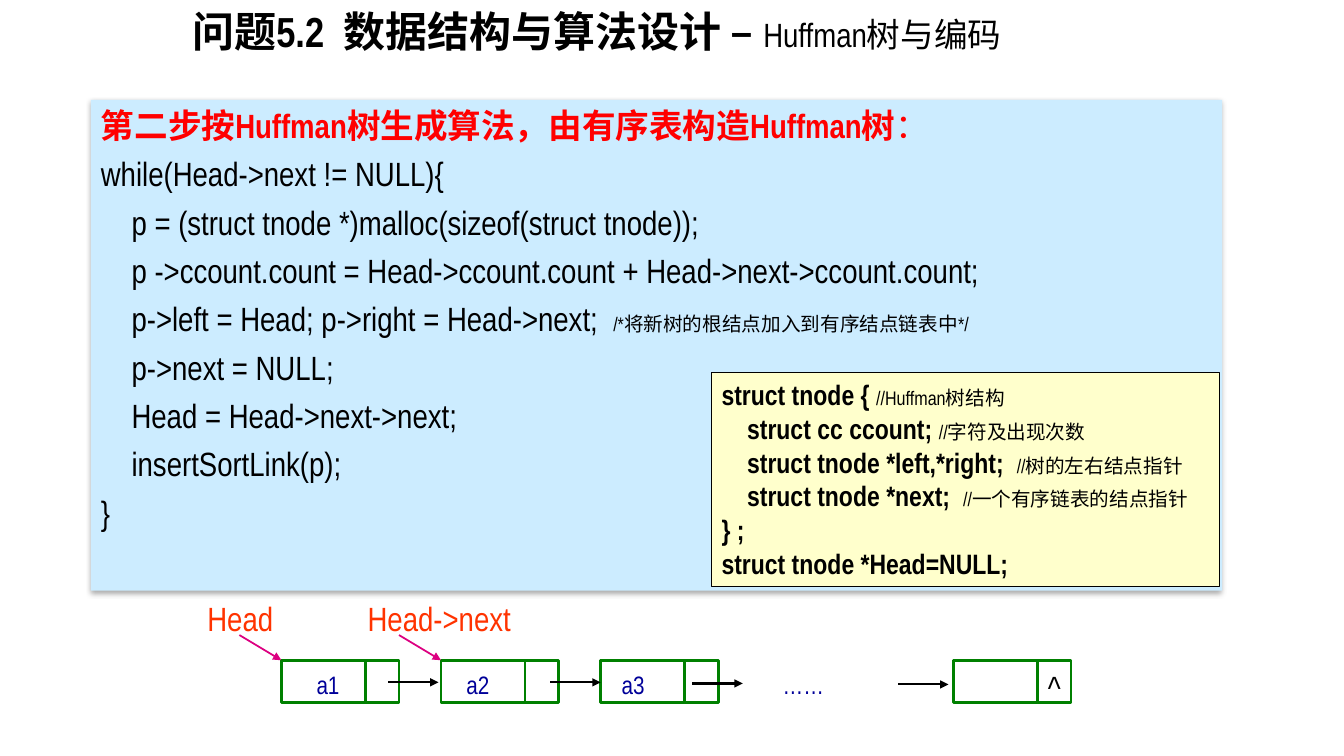
from lxml import etree
from pptx import Presentation
from pptx.dml.color import RGBColor
from pptx.enum import shapes, text
from pptx.oxml import ns
from pptx.util import Pt

BLACK = RGBColor(0x00, 0x00, 0x00)
RED = RGBColor(0xFF, 0x00, 0x00)
ORANGE = RGBColor(0xFF, 0x33, 0x00)
NAVY = RGBColor(0x00, 0x00, 0x99)
GREEN = RGBColor(0x00, 0x80, 0x00)
MAGENTA = RGBColor(0xDC, 0x00, 0x81)
PALE_BLUE = RGBColor(0xCC, 0xEC, 0xFF)
PALE_YELLOW = RGBColor(0xFF, 0xFF, 0xCC)
FONT = "Arial Narrow"

# Content: a run is (words, size, bold, colour)
TITLE = [("问题5.2  数据结构与算法设计 – ", 30, True, BLACK),
         ("Huffman树与编码", 24, False, BLACK)]
STEP_HEADING = [("第二步按Huffman树生成算法，由有序表构造Huffman树", 24, True, RED),
                ("：", 24, False, RED)]
LOOP_CODE = [  # code, comment
    ("while(Head->next != NULL){", ""),
    ("    p = (struct tnode *)malloc(sizeof(struct tnode));", ""),
    ("    p ->ccount.count = Head->ccount.count + Head->next->ccount.count;", ""),
    ("    p->left = Head; p->right = Head->next;  ", "/*将新树的根结点加入到有序结点链表中*/"),
    ("    p->next = NULL;", ""),
    ("    Head = Head->next->next;", ""),
    ("    insertSortLink(p);", ""),
    ("}", ""),
]
STRUCT_CODE = [
    ("struct tnode { ", "//Huffman树结构"),
    ("    struct cc ccount; ", "//字符及出现次数"),
    ("    struct tnode *left,*right;  ", "//树的左右结点指针"),
    ("    struct tnode *next;  ", "//一个有序链表的结点指针"),
    ("} ;", ""),
    ("struct tnode *Head=NULL;", ""),
]
POINTERS = [("Head", 141, 62), ("Head->next", 255.5, 123)]  # words, left, width
NODE_LABELS = [("a1", 219), ("a2", 326), ("a3", 437), ("……", 552)]  # words, left

# Linked list geometry
NODE_LEFT, NODE_STEP, NODE_TOP, NODE_HEIGHT = 201, 114, 471.6, 30.2
DATA_WIDTH, LINK_WIDTH = 60, 24
LAST_NODE_LEFT = 681
NODE_LEFTS = [NODE_LEFT + i * NODE_STEP for i in range(3)] + [LAST_NODE_LEFT]
NEXT_ARROWS = [(277.2, 487.4), (393, 487.4), (494.6, 488.2), (641.5, 488.9)]
ARROW_LENGTH = 36

deck = Presentation()
deck.slide_width, deck.slide_height = Pt(960), Pt(540)
slide = deck.slides.add_slide(deck.slide_layouts[6])


def code_lines(lines, size, bold):
    return [[(code, size, bold, BLACK)] + ([(note, 14, False, BLACK)] if note else [])
            for code, note in lines]


def write(shape, paragraphs, spacing=1.0, anchor=text.MSO_ANCHOR.TOP,
          align=text.PP_ALIGN.LEFT, wrap=True):
    frame = shape.text_frame
    frame.word_wrap = wrap
    frame.vertical_anchor = anchor
    for i, runs in enumerate(paragraphs):
        paragraph = frame.add_paragraph() if i else frame.paragraphs[0]
        paragraph.alignment = align
        paragraph.line_spacing = spacing
        for words, size, bold, colour in runs:
            run = paragraph.add_run()
            run.text = words
            run.font.name, run.font.size, run.font.bold = FONT, Pt(size), bold
            run.font.color.rgb = colour
    return frame


def label(box, runs, **layout):
    return write(slide.shapes.add_textbox(*map(Pt, box)), [runs], **layout)


def rectangle(box, fill=None, line=None, weight=0.75):
    shape = slide.shapes.add_shape(shapes.MSO_SHAPE.RECTANGLE, *map(Pt, box))
    shape.shadow.inherit = False
    if fill is None:
        shape.fill.background()
    else:
        shape.fill.solid()
        shape.fill.fore_color.rgb = fill
    if line is None:
        shape.line.fill.background()
    else:
        shape.line.color.rgb = line
        shape.line.width = Pt(weight)
    return shape


def arrow(x1, y1, x2, y2, colour, weight):
    link = slide.shapes.add_connector(shapes.MSO_CONNECTOR.STRAIGHT, *map(Pt, (x1, y1, x2, y2)))
    link.line.color.rgb = colour
    link.line.width = Pt(weight)
    etree.SubElement(link.line._get_or_add_ln(), ns.qn("a:tailEnd"), type="triangle")
    etree.SubElement(link._element.spPr, ns.qn("a:effectLst"))


def drop_shadow(shape):
    effects = shape._element.spPr.find(ns.qn("a:effectLst"))
    shadow = etree.SubElement(effects, ns.qn("a:outerShdw"), blurRad=str(Pt(3.5)),
                              dist=str(Pt(2.2)), dir="5400000", rotWithShape="0")
    colour = etree.SubElement(shadow, ns.qn("a:srgbClr"), val=str(BLACK))
    etree.SubElement(colour, ns.qn("a:alpha"), val="32000")


# Title
label((130.3, -8, 645, 66), TITLE, spacing=0.8, anchor=text.MSO_ANCHOR.MIDDLE)

# Algorithm panel
algorithm = rectangle((65, 71.3, 808, 350.6), PALE_BLUE)
drop_shadow(algorithm)
algorithm_text = write(algorithm, [STEP_HEADING] + code_lines(LOOP_CODE, 24, False), spacing=1.2)
algorithm_text.paragraphs[0].line_spacing = 1.0

# Structure definition
structure = rectangle((508.3, 266.4, 363, 152.6), PALE_YELLOW, BLACK)
write(structure, code_lines(STRUCT_CODE, 20, True))

# Linked list nodes
for left in NODE_LEFTS:
    rectangle((left, NODE_TOP, DATA_WIDTH, NODE_HEIGHT), line=GREEN, weight=2)
    rectangle((left + DATA_WIDTH, NODE_TOP, LINK_WIDTH, NODE_HEIGHT), line=GREEN, weight=2)
label((LAST_NODE_LEFT + DATA_WIDTH, 472.3, LINK_WIDTH, 36.7), [("^", 24, False, BLACK)],
      anchor=text.MSO_ANCHOR.MIDDLE, align=text.PP_ALIGN.CENTER, wrap=False)
for words, left in NODE_LABELS:
    label((left, 474.5, 60, 28.8), [(words, 18, False, NAVY)])
for x, y in NEXT_ARROWS:
    arrow(x, y, x + ARROW_LENGTH, y, BLACK, 1.5)

# Head pointers
for (words, left, width), node_left in zip(POINTERS, NODE_LEFTS):
    label((left, 423.4, width, 36.7), [(words, 24, False, ORANGE)], anchor=text.MSO_ANCHOR.MIDDLE)
    arrow(node_left - 30, 453.6, node_left, NODE_TOP, MAGENTA, 1.25)

deck.save("out.pptx")
